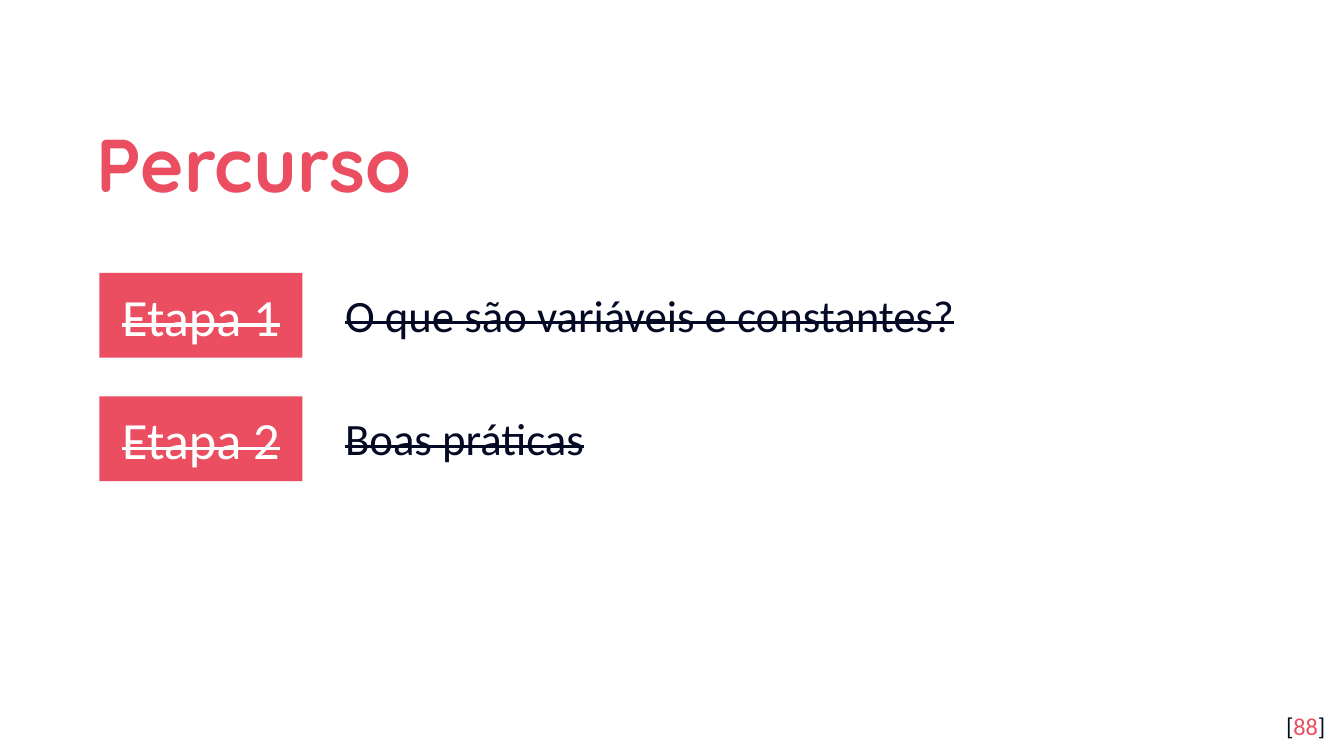
from dataclasses import dataclass

from pptx import Presentation
from pptx.dml import color as col
from pptx.enum import shapes as shp, text as txt
from pptx.util import Pt

HUES = {"rose": "EA4E60", "navy": "040A24", "white": "FFFFFF"}
ALIGN = txt.PP_ALIGN
ANCHOR = txt.MSO_ANCHOR


@dataclass
class Step:
    label: str
    topic: str


@dataclass
class Look:
    face: str
    size: float
    hue: str
    bold: bool = False
    strike: bool = False


STEPS = [
    Step("Etapa 1", "O que são variáveis e constantes?"),
    Step("Etapa 2", "Boas práticas"),
]
TOP, PITCH = 146.2, 66.2


def rgb(hue: str) -> col.RGBColor:
    return col.RGBColor.from_string(HUES[hue])


def style(shape, look: Look, align, anchor, pad: float = 7.2):
    """Format the frame and its first paragraph, which is returned."""
    frame = shape.text_frame
    frame.word_wrap = True
    frame.auto_size = txt.MSO_AUTO_SIZE.NONE
    frame.vertical_anchor = anchor
    frame.margin_left = frame.margin_right = Pt(7.2)
    frame.margin_top = frame.margin_bottom = Pt(pad)
    para = frame.paragraphs[0]
    para.alignment = align
    font = para.font
    font.name, font.size, font.bold = look.face, Pt(look.size), look.bold
    font.color.rgb = rgb(look.hue)
    if look.strike:
        font._element.set("strike", "sngStrike")
    return para


def add_step(slide, step: Step, top: float) -> None:
    # Coloured label
    tag = slide.shapes.add_shape(
        shp.MSO_SHAPE.RECTANGLE, Pt(53.3), Pt(top), Pt(108.7), Pt(45.4))
    tag.shadow.inherit = False
    tag.fill.solid()
    tag.fill.fore_color.rgb = rgb("rose")
    tag.line.fill.background()
    tag.text_frame.text = step.label
    style(tag, Look("Calibri", 28, "white", strike=True),
          ALIGN.CENTER, ANCHOR.MIDDLE)

    # Topic beside it
    box = slide.shapes.add_textbox(Pt(177.8), Pt(top + 4.3), Pt(486), Pt(36))
    box.text_frame.text = step.topic
    para = style(box, Look("Calibri", 24, "navy", strike=True),
                 ALIGN.LEFT, ANCHOR.TOP, 3.6)
    props = para._p.get_or_add_pPr()
    props.set("marL", str(Pt(36)))
    props.set("indent", str(-Pt(36)))


def add_page(slide, number: str) -> None:
    box = slide.shapes.add_textbox(Pt(673.9), Pt(373.7), Pt(43.2), Pt(31))
    para = style(box, Look("Calibri", 13, "navy"), ALIGN.RIGHT, ANCHOR.TOP)
    for part in ("[", number, "]"):
        run = para.add_run()
        run.text = part
        if part == number:
            run.font.color.rgb = rgb("rose")


def main() -> None:
    deck = Presentation()
    deck.slide_width, deck.slide_height = Pt(720), Pt(405)
    slide = deck.slides.add_slide(deck.slide_layouts[5])

    # Title
    title = slide.shapes.title
    title.left, title.top = Pt(44.6), Pt(50.4)
    title.width, title.height = Pt(583.2), Pt(66.2)
    title.text_frame.text = "Percurso"
    para = style(title, Look("Quicksand", 40, "rose", bold=True),
                 ALIGN.LEFT, ANCHOR.MIDDLE)
    para.line_spacing = 1.15

    # Steps
    for i, step in enumerate(STEPS):
        add_step(slide, step, TOP + i * PITCH)

    # Page number
    add_page(slide, "88")
    deck.save("out.pptx")


if __name__ == "__main__":
    main()
